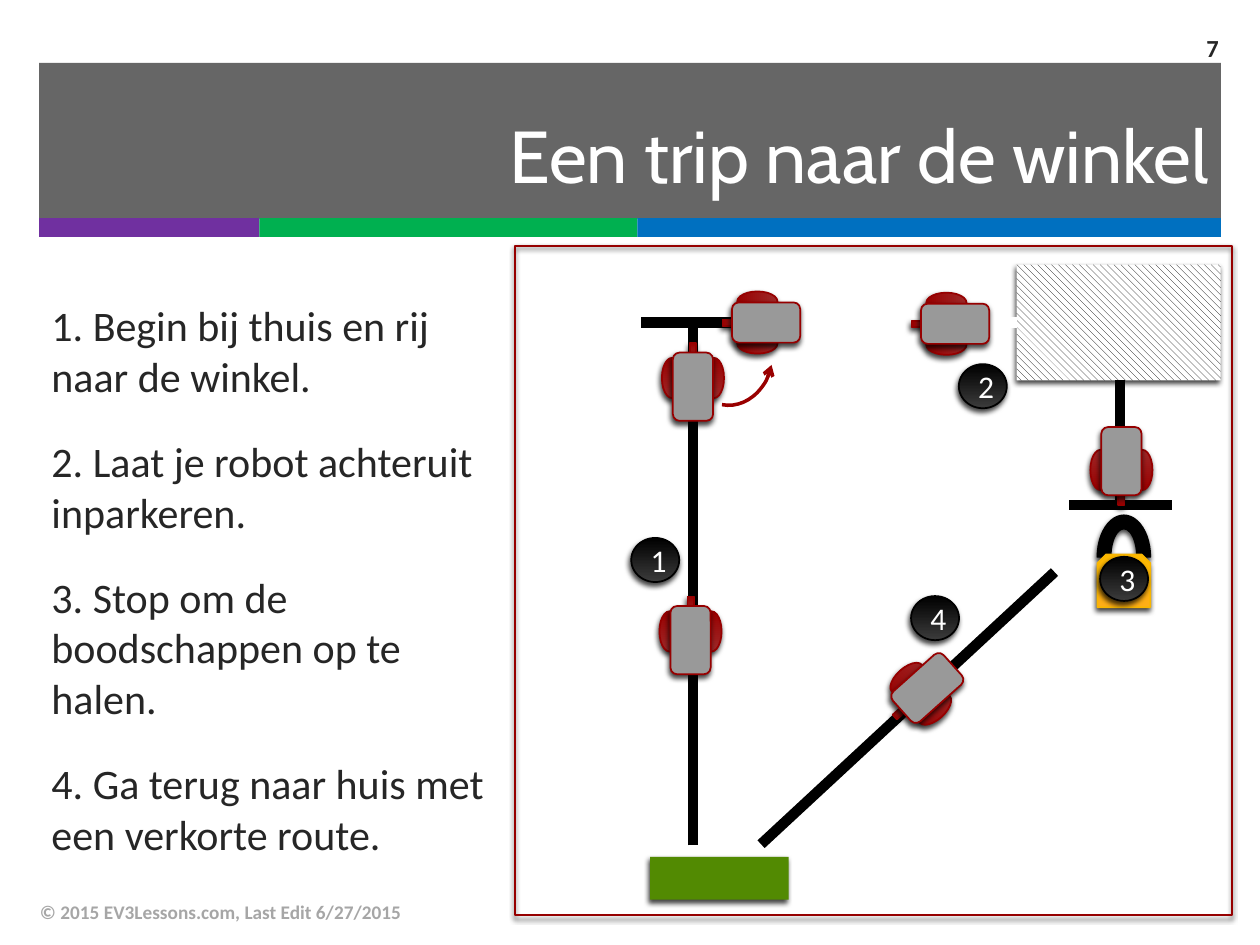
from math import cos, radians, sin
from typing import NamedTuple

from lxml.etree import SubElement
from pptx import Presentation
from pptx.dml.color import RGBColor
from pptx.enum.dml import MSO_PATTERN as PATTERN
from pptx.enum.shapes import MSO_CONNECTOR, MSO_SHAPE as SHAPE
from pptx.enum.text import MSO_ANCHOR as ANCHOR, PP_ALIGN as ALIGN
from pptx.oxml.ns import qn
from pptx.util import Pt


class Box(NamedTuple):
    """A rectangle in points."""
    left: float
    top: float
    width: float
    height: float

    def inner(self, left, top, width, height):
        """Return a box placed relative to this one."""
        return Box(self.left + left, self.top + top, width, height)

    def lengths(self):
        """Return the four lengths for python-pptx."""
        return [Pt(length) for length in self]


class Theme:
    """Colours, fonts and type sizes of the slide."""
    ink, white, black, pale = "262626", "FFFFFF", "000000", "A6A6A6"
    stripes = (("7030A0", 126), ("00B050", 216), ("0070C0", 333.4))
    red, arrow, grey, green = "960000", "990000", "999999", "528A02"
    wheel, lock, badge = ("9D2828", "990000"), ("FFAE17", "FFBA00"), ("3B3B3B", "000000")
    lock_edge = "F9B600"
    heading, body = "Cabin", "Calibri"
    title_size, text_size, badge_size, number_size, footer_size = 42, 24, 18, 14, 11


def rgb(color):
    """Turn a hex string into a colour."""
    return RGBColor.from_string(color)


def write(frame, *paragraphs, size, color=Theme.ink, font=Theme.body, bold=False,
          align=ALIGN.LEFT, anchor=ANCHOR.MIDDLE, gap=0):
    """Fill a text frame with formatted paragraphs."""
    frame.word_wrap = True
    frame.vertical_anchor = anchor
    for index, words in enumerate(paragraphs):
        paragraph = frame.add_paragraph() if index else frame.paragraphs[0]
        paragraph.alignment = align
        paragraph.space_before = Pt(gap if index else 0)
        run = paragraph.add_run()
        run.text = words
        run.font.size, run.font.name, run.font.bold = Pt(size), font, bold
        run.font.color.rgb = rgb(color)


def add_text(slide, box, *paragraphs, **style):
    """Add a text box."""
    write(slide.shapes.add_textbox(*box.lengths()).text_frame, *paragraphs, **style)


def cast_shadow(shape):
    """Give a shape the soft shadow used in the map."""
    effects = shape._element.spPr.find(qn("a:effectLst"))
    outer = SubElement(effects, qn("a:outerShdw"), blurRad=str(Pt(3)), dist=str(Pt(2)),
                       dir="6600000", algn="tl", rotWithShape="0")
    color = SubElement(outer, qn("a:srgbClr"), val=Theme.black)
    SubElement(color, qn("a:alpha"), val="75000")


def add_shape(slide, kind, box, fill=None, line=None, weight=1, turn=0, shadow=True):
    """Add a preset shape with a plain, two-colour or empty fill."""
    shape = slide.shapes.add_shape(kind, *box.lengths())
    shape.shadow.inherit = False
    shape.rotation = turn
    if fill is None:
        shape.fill.background()
    elif isinstance(fill, tuple):
        shape.fill.gradient()
        shape.fill.gradient_angle = 90
        for stop, color in zip(shape.fill.gradient_stops, fill):
            stop.color.rgb = rgb(color)
    else:
        shape.fill.solid()
        shape.fill.fore_color.rgb = rgb(fill)
    if line:
        shape.line.color.rgb = rgb(line)
        shape.line.width = Pt(weight)
    else:
        shape.line.fill.background()
    if shadow:
        cast_shadow(shape)
    return shape


def add_road(slide, box, start, end, color=Theme.black):
    """Draw a thick straight line between two points of the box."""
    ends = [Pt(base + offset) for point in (start, end) for base, offset in zip(box, point)]
    road = slide.shapes.add_connector(MSO_CONNECTOR.STRAIGHT, *ends)
    road.line.color.rgb = rgb(color)
    road.line.width = Pt(6)
    SubElement(road._element.spPr, qn("a:effectLst"))


def add_robot(slide, box, x, y, turn):
    """Draw a robot centred on a point of the box and turned clockwise."""
    wheel, angle = Theme.wheel, radians(turn)
    parts = ((SHAPE.OVAL, -12, -5, 11.5, 23, wheel), (SHAPE.OVAL, 12, -5, 11.5, 23, wheel),
             (SHAPE.RECTANGLE, 0, -20, 3.6, 10, wheel),
             (SHAPE.ROUNDED_RECTANGLE, 0, 0, 23, 39, Theme.grey))
    for kind, across, along, width, height, fill in parts:
        left = x + across * cos(angle) - along * sin(angle) - width / 2
        top = y + across * sin(angle) + along * cos(angle) - height / 2
        add_shape(slide, kind, box.inner(left, top, width, height), fill, Theme.red, turn=turn)


def add_badge(slide, box, left, top, number):
    """Draw a numbered black disc."""
    badge = add_shape(slide, SHAPE.OVAL, box.inner(left, top, 27.4, 25.2), Theme.badge, Theme.black)
    write(badge.text_frame, number, size=Theme.badge_size, color=Theme.white, align=ALIGN.CENTER)


def add_lock(slide, box):
    """Draw the padlock that stands for the groceries."""
    add_shape(slide, SHAPE.BLOCK_ARC, box.inner(0, 0, box.width, 47.5), Theme.black, Theme.black)
    add_shape(slide, SHAPE.SNIP_2_SAME_RECTANGLE, box.inner(0, 22.3, box.width, 30.2),
              Theme.lock, Theme.lock_edge)


def add_header(slide, box):
    """Draw the title band with its coloured stripes."""
    band = add_shape(slide, SHAPE.RECTANGLE, box.inner(0, 0, box.width, 89), Theme.ink, shadow=False)
    color = band._element.spPr.find(qn("a:solidFill")).find(qn("a:srgbClr"))
    SubElement(color, qn("a:alpha"), val="70000")
    left = 0
    for fill, width in Theme.stripes:
        add_shape(slide, SHAPE.RECTANGLE, box.inner(left, 88.6, width, 10.8), fill, shadow=False)
        left += width
    add_text(slide, box.inner(0, 13.7, box.width, 76.3), "Een trip naar de winkel",
             size=Theme.title_size, color=Theme.white, font=Theme.heading, align=ALIGN.RIGHT)


def add_steps(slide, box):
    """Write the steps of the challenge."""
    add_text(slide, box, "1. Begin bij thuis en rij naar de winkel.",
             "2. Laat je robot achteruit inparkeren.", "3. Stop om de boodschappen op te halen.",
             "4. Ga terug naar huis met een verkorte route.",
             size=Theme.text_size, anchor=ANCHOR.TOP, gap=20)


def add_map(slide, box):
    """Draw the route with store, home, robots and step numbers."""
    add_shape(slide, SHAPE.RECTANGLE, box, line=Theme.red)
    store = add_shape(slide, SHAPE.RECTANGLE, box.inner(286.5, 10.8, 116.6, 66.2), Theme.white)
    store.fill.patterned()
    store.fill.pattern = PATTERN.WIDE_DOWNWARD_DIAGONAL
    store.fill.fore_color.rgb, store.fill.back_color.rgb = rgb(Theme.black), rgb(Theme.white)
    add_shape(slide, SHAPE.RECTANGLE, box.inner(77, 349.2, 79.2, 24.5), Theme.green)
    add_road(slide, box, (101.5, 342.7), (101.5, 43.9))
    add_lock(slide, box.inner(332.6, 154.1, 30.2, 52.5))
    add_road(slide, box, (345.6, 148.3), (345.6, 77))
    add_road(slide, box, (286.5, 43.9), (140.4, 43.9), Theme.white)
    add_road(slide, box, (140.4, 342), (308.1, 186.5))
    add_road(slide, box, (375.1, 148.3), (316.1, 148.3))
    add_road(slide, box, (130.3, 43.9), (72, 43.9))
    for x, y, turn in ((100.1, 225.4, 0), (251.3, 44.6, 270), (346.3, 123.1, 180),
                       (235.4, 252.7, 228.2), (143.3, 43.9, 270), (101.5, 80.6, 0)):
        add_robot(slide, box, x, y, turn)
    for left, top, number in ((253.4, 67.7, "2"), (66.2, 167, "1"),
                              (334.1, 177.8, "3"), (226.1, 200.2, "4")):
        add_badge(slide, box, left, top, number)
    bend = add_shape(slide, SHAPE.ARC, box.inner(95.7, 40.3, 55.4, 46.8), line=Theme.arrow,
                     weight=2, turn=101.1, shadow=False)
    SubElement(bend.line._get_or_add_ln(), qn("a:headEnd"), type="arrow")


def add_footer(slide, box):
    """Write the copyright line."""
    add_text(slide, box, "© 2015 EV3Lessons.com, Last Edit 6/27/2015",
             size=Theme.footer_size, color=Theme.pale, bold=True)


def add_number(slide, box):
    """Write the slide number."""
    add_text(slide, box, "7", size=Theme.number_size, bold=True, align=ALIGN.RIGHT)


def main():
    """Build the slide and save it."""
    deck = Presentation()
    deck.slide_width, deck.slide_height = Pt(720), Pt(540)
    slide = deck.slides.add_slide(deck.slide_layouts[6])
    add_header(slide, Box(22.3, 36, 675.4, 99.4))
    add_steps(slide, Box(22.3, 167.8, 272.2, 314.6))
    add_footer(slide, Box(15.8, 506.9, 482.4, 28.8))
    add_number(slide, Box(653.8, 13, 49.7, 28))
    add_map(slide, Box(294.5, 140.4, 409.7, 382.3))
    deck.save("out.pptx")


if __name__ == "__main__":
    main()
